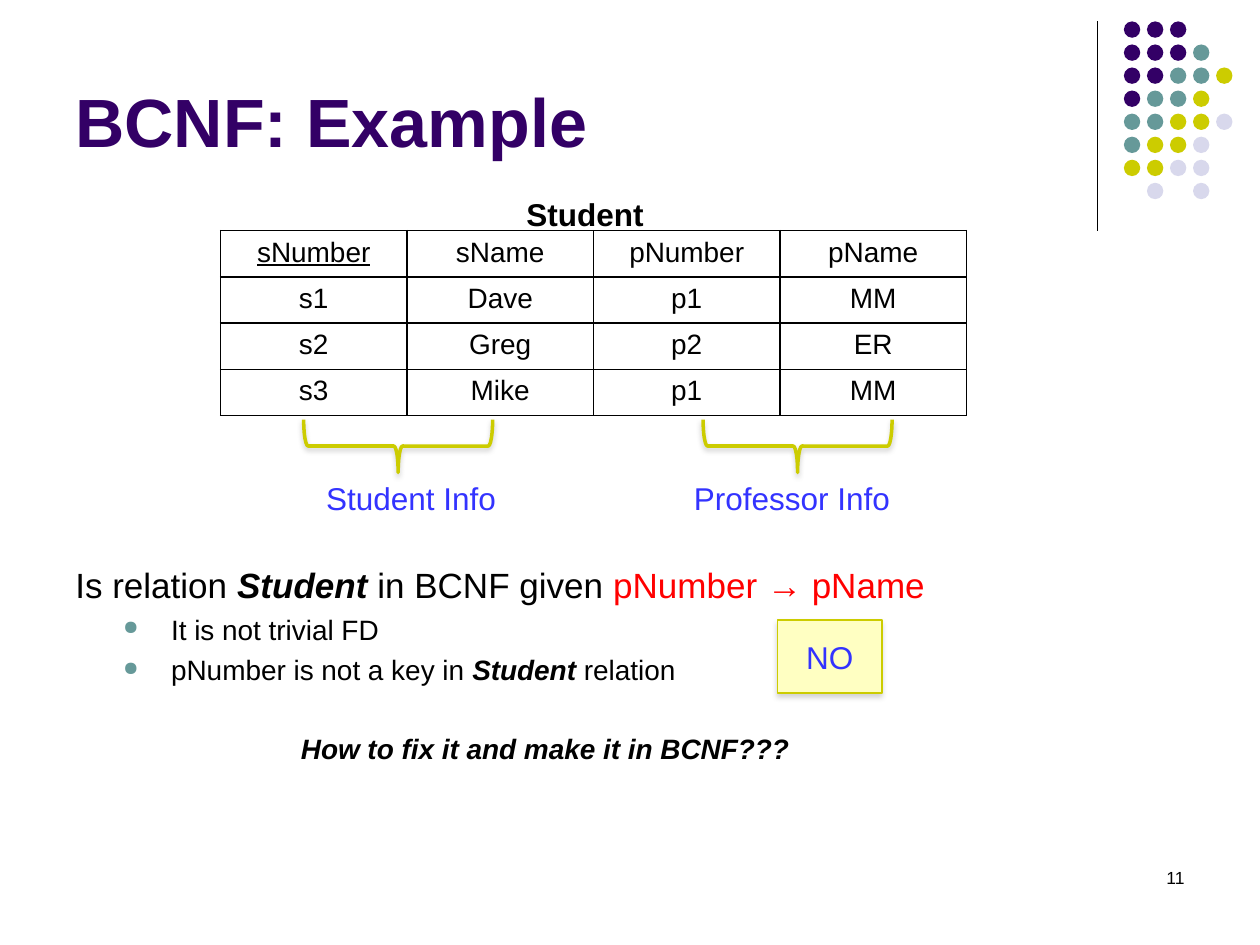
from lxml import etree
from pptx import Presentation
from pptx import util as u
from pptx.dml.color import RGBColor
from pptx.enum import shapes, text
from pptx.oxml import parse_xml
from pptx.oxml.ns import nsdecls, qn

W, H = 10, 7.5
BLACK, BLUE, OLIVE, TEAL = "000000", "3333FF", "CCCC00", "669999"
DOT_COLOURS = {"p": "330066", "t": TEAL, "o": OLIVE, "l": "D8D8EC"}
DOTS = ["ppp", "pppt", "pptto", "ptto", "ttool", "tool", "ooll", " l l"]
ROWS = [
    ("sNumber", "sName", "pNumber", "pName"),
    ("s1", "Dave", "p1", "MM"),
    ("s2", "Greg", "p2", "ER"),
    ("s3", "Mike", "p1", "MM"),
]
LABELS = [
    (0.5, 0.13, 8.25, 1.2, "BCNF: Example", 39, "330066", True, "l", "b"),
    (7.17, 6.83, 2.33, 0.5, "11", 10, BLACK, False, "r", "t"),
    (4.08, 1.5, 1.13, 0.4, "Student", 18, BLACK, True, "l", "t"),
    (2.49, 3.75, 1.56, 0.4, "Student Info", 18, BLUE, False, "l", "t"),
    (5.41, 3.75, 1.77, 0.4, "Professor Info", 18, BLUE, False, "l", "t"),
]
BRACES = [2.95, 6.12]
STRONG = {"bold": True, "italic": True}
BODY = [
    (20, 4, 0, False, [("Is relation ", {}), ("Student", STRONG), (" in BCNF given ", {}),
                       ("pNumber → pName", {"colour": "FF0000"})]),
    (16, 4, 0.76, True, [("It is not trivial FD", {})]),
    (16, 4, 0.76, True, [("pNumber is not a key in ", {}), ("Student", STRONG),
                         (" relation", {})]),
    (16, 26, 1.79, False, [("How to fix it and make it in BCNF???", STRONG)]),
]
ALIGN = {"l": text.PP_ALIGN.LEFT, "c": text.PP_ALIGN.CENTER, "r": text.PP_ALIGN.RIGHT}
ANCHOR = {"t": text.MSO_ANCHOR.TOP, "b": text.MSO_ANCHOR.BOTTOM}


def rgb(colour):
    return RGBColor.from_string(colour)


def inches(*values):
    return [u.Inches(v) for v in values]


def add_run(p, words, size, colour=BLACK, bold=False, italic=False, underline=False):
    r = p.add_run()
    r.text = words
    f = r.font
    f.name, f.size, f.bold, f.italic, f.underline = "Arial", u.Pt(size), bold, italic, underline
    f.color.rgb = rgb(colour)


def add_text(s, box, wrap=True):
    tf = s.shapes.add_textbox(*inches(*box)).text_frame
    tf.word_wrap = wrap
    return tf


def add_shape(s, kind, box, fill=None, line=None, width=0.75):
    sp = s.shapes.add_shape(kind, *inches(*box))
    sp.shadow.inherit = False
    if fill:
        sp.fill.solid()
        sp.fill.fore_color.rgb = rgb(fill)
    else:
        sp.fill.background()
    if line:
        sp.line.color.rgb = rgb(line)
        sp.line.width = u.Pt(width)
    else:
        sp.line.fill.background()
    return sp


def add_shadow(sp, alpha, distance):
    effects = sp._element.spPr.find(qn("a:effectLst"))
    effects.append(parse_xml(
        f'<a:outerShdw {nsdecls("a")} blurRad="{u.Pt(3.1)}" dist="{u.Pt(distance)}" '
        f'dir="5400000" rotWithShape="0"><a:srgbClr val="808080">'
        f'<a:alpha val="{alpha * 1000}"/></a:srgbClr></a:outerShdw>'))


def add_borders(cell):
    tcPr = cell._tc.get_or_add_tcPr()
    for i, side in enumerate(("lnL", "lnR", "lnT", "lnB")):
        tcPr.insert(i, parse_xml(
            f'<a:{side} {nsdecls("a")} w="{u.Pt(1)}"><a:solidFill>'
            f'<a:srgbClr val="{BLACK}"/></a:solidFill></a:{side}>'))


def add_bullet(p):
    pPr = p._p.get_or_add_pPr()
    colour = etree.SubElement(pPr, qn("a:buClr"))
    etree.SubElement(colour, qn("a:srgbClr"), val=TEAL)
    etree.SubElement(pPr, qn("a:buSzPct"), val="70000")
    etree.SubElement(pPr, qn("a:buChar"), char="●")


def add_corner(s):
    x, top, pitch, size = 8.71, 0.17, 0.183, 0.13
    line = s.shapes.add_connector(shapes.MSO_CONNECTOR.STRAIGHT, *inches(x, top, x, 1.83))
    line.line.color.rgb = rgb(BLACK)
    line.line.width = u.Pt(0.75)
    etree.SubElement(line._element.spPr, qn("a:effectLst"))
    for row, dots in enumerate(DOTS):
        for col, dot in enumerate(dots):
            if dot in DOT_COLOURS:
                box = (8.92 + col * pitch, top + row * pitch, size, size)
                add_shape(s, shapes.MSO_SHAPE.OVAL, box, DOT_COLOURS[dot])


def add_student_table(s):
    table = s.shapes.add_table(len(ROWS), len(ROWS[0]), *inches(1.75, 1.83, 5.92, 1.47)).table
    table.first_row = table.horz_banding = False
    for i, row in enumerate(ROWS):
        for j, words in enumerate(row):
            cell = table.cell(i, j)
            cell.fill.background()
            add_borders(cell)
            p = cell.text_frame.paragraphs[0]
            p.alignment = ALIGN["c"]
            add_run(p, words, 16, underline=(i, j) == (0, 0))


def add_body(s):
    tf = add_text(s, (0.5, 4.42, 9, 1.42))
    for i, (size, before, indent, bullet, runs) in enumerate(BODY):
        p = tf.add_paragraph() if i else tf.paragraphs[0]
        p.space_before = u.Pt(before)
        pPr = p._p.get_or_add_pPr()
        pPr.set("marL", str(u.Inches(indent)))
        pPr.set("indent", str(u.Inches(-0.38 if bullet else 0)))
        if bullet:
            add_bullet(p)
        for words, style in runs:
            add_run(p, words, size, **style)


def main():
    prs = Presentation()
    prs.slide_width, prs.slide_height = inches(W, H)
    s = prs.slides.add_slide(prs.slide_layouts[6])
    add_corner(s)
    add_student_table(s)
    for *box, words, size, colour, bold, align, anchor in LABELS:
        tf = add_text(s, box, wrap=size != 18)
        tf.vertical_anchor = ANCHOR[anchor]
        tf.paragraphs[0].alignment = ALIGN[align]
        add_run(tf.paragraphs[0], words, size, colour, bold)
    for left in BRACES:
        sp = add_shape(s, shapes.MSO_SHAPE.RIGHT_BRACE, (left, 2.79, 0.42, 1.5),
                       line=OLIVE, width=2)
        sp.rotation = 90
        sp.adjustments[0] = 0.083
        add_shadow(sp, 38, 1.6)
    add_body(s)
    sp = add_shape(s, shapes.MSO_SHAPE.RECTANGLE, (6.17, 4.92, 0.83, 0.58), "FFFFC2", OLIVE)
    add_shadow(sp, 35, 1.8)
    p = sp.text_frame.paragraphs[0]
    p.alignment = ALIGN["c"]
    add_run(p, "NO", 18, BLUE)
    prs.save("out.pptx")


if __name__ == "__main__":
    main()
